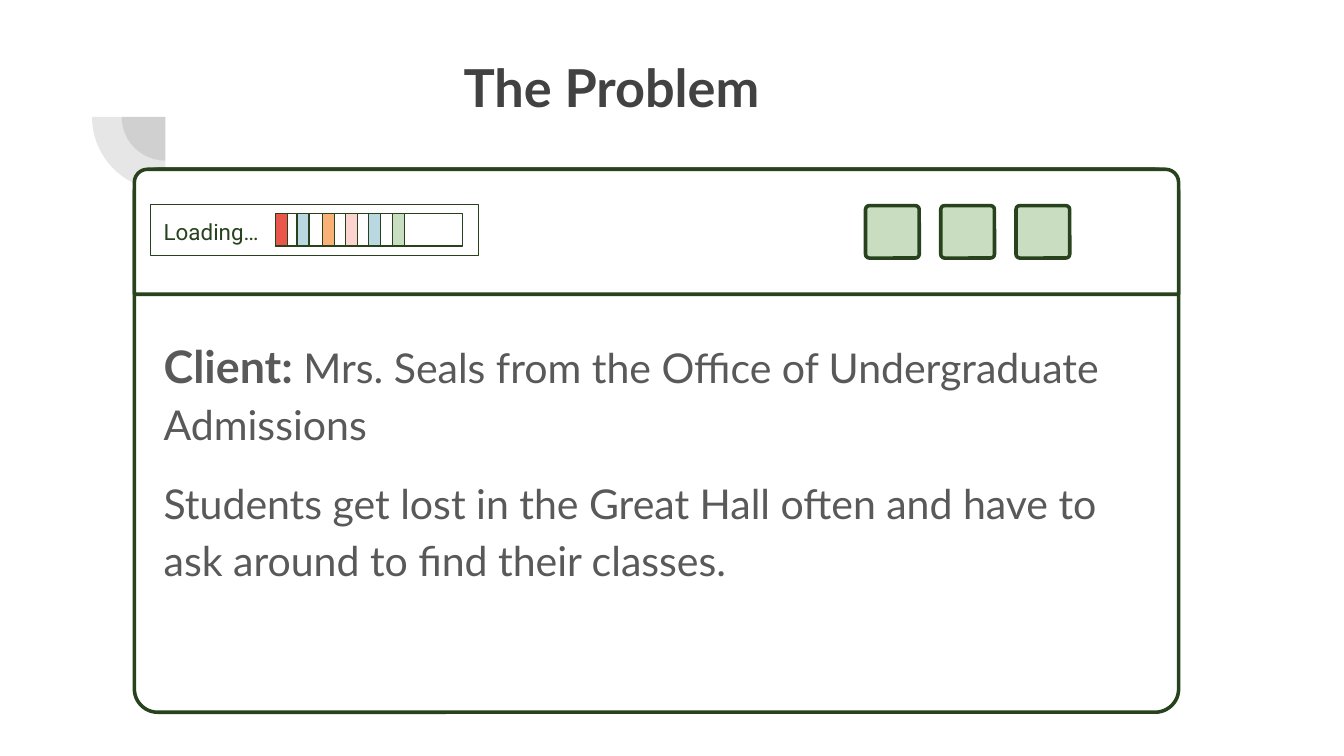
from lxml import etree
from pptx import Presentation
from pptx.dml.color import RGBColor
from pptx.enum import shapes, text
from pptx.oxml.ns import qn
from pptx.util import Inches, Pt

# Colours
GREY = RGBColor(0x42, 0x42, 0x42)
BODY_GREY = RGBColor(0x59, 0x59, 0x59)
DARK_GREEN = RGBColor(0x27, 0x42, 0x1C)
LIGHT_GREEN = RGBColor(0xC9, 0xDD, 0xC1)
WHITE = RGBColor(0xFF, 0xFF, 0xFF)
RED = RGBColor(0xEA, 0x56, 0x4C)
BLUE = RGBColor(0xBA, 0xD8, 0xE2)
ORANGE = RGBColor(0xF9, 0xB1, 0x77)
PINK = RGBColor(0xFB, 0xD4, 0xCF)

# Content
TITLE = "The Problem"
CLIENT = ("Client:", " Mrs. Seals from the Office of Undergraduate Admissions")
PROBLEM = ("Students get lost in the Great Hall often and have to "
           "ask around to find their classes.")
LOADING = "Loading…"
STRIPES = [(2.05, RED), (2.21, BLUE), (2.4, ORANGE),
           (2.57, PINK), (2.74, BLUE), (2.92, LIGHT_GREEN)]

# Geometry in inches
PIE_CENTRE = (1.23, 0.87)
PIE_SIZES = (0.65, 1.09)
WINDOW_LEFT, WINDOW_TOP, WINDOW_WIDTH = 1, 1.26, 7.77
BUTTON_LEFT, BUTTON_STEP, BUTTON_COUNT = 6.44, 0.56, 3
BAR_TOP, BAR_HEIGHT = 1.59, 0.24

SHAPE = shapes.MSO_SHAPE


def add_box(s, kind, left, top, width, height, fill, line=None, adj=()):
    sp = s.shapes.add_shape(kind, Inches(left), Inches(top), Inches(width), Inches(height))
    sp.shadow.inherit = False
    sp.fill.solid()
    sp.fill.fore_color.rgb = fill
    if line:
        sp.line.color.rgb = DARK_GREEN
        sp.line.width = Pt(line)
    else:
        sp.line.fill.background()
    for i, value in enumerate(adj):
        sp.adjustments[i] = value
    return sp


def set_frame(tf, anchor):
    tf.word_wrap = True
    tf.auto_size = text.MSO_AUTO_SIZE.NONE
    tf.vertical_anchor = anchor
    tf.margin_left = tf.margin_right = tf.margin_top = tf.margin_bottom = Inches(0.1)


def add_text(p, words, size, color, font="Lato", bold=False, spacing=1.15):
    p.alignment = text.PP_ALIGN.LEFT
    p.line_spacing = spacing
    r = p.add_run()
    r.text = words
    r.font.name = font
    r.font.size = Pt(size)
    r.font.bold = bold
    r.font.color.rgb = color


def main():
    prs = Presentation()
    prs.slide_width = Inches(10)
    prs.slide_height = prs.slide_width * 9 // 16
    s = prs.slides.add_slide(prs.slide_layouts[5])

    # Title
    title = s.shapes.title
    title.left, title.top = Inches(1.35), Inches(0.31)
    title.width, title.height = Inches(7.69), Inches(1.09)
    set_frame(title.text_frame, text.MSO_ANCHOR.TOP)
    p = title.text_frame.paragraphs[0]
    add_text(p, TITLE, 28, GREY, bold=True, spacing=1.0)
    pPr = p._p.get_or_add_pPr()
    pPr.set("marL", str(Inches(1.5)))
    pPr.set("indent", str(Inches(0.5)))

    # Corner quarter circles
    for size in PIE_SIZES:
        left, top = (c - size / 2 for c in PIE_CENTRE)
        pie = add_box(s, SHAPE.PIE, left, top, size, size, GREY, adj=(108, 162))
        pie.rotation = 270
        color = pie.fill._xPr.find(qn("a:solidFill"))[0]
        etree.SubElement(color, qn("a:alpha"), val="13000")

    # Window with title bar and buttons
    add_box(s, SHAPE.ROUNDED_RECTANGLE, WINDOW_LEFT, WINDOW_TOP, WINDOW_WIDTH, 4.04,
            WHITE, 1.89, (0.043,))
    add_box(s, SHAPE.ROUND_2_SAME_RECTANGLE, WINDOW_LEFT, WINDOW_TOP, WINDOW_WIDTH, 0.93,
            WHITE, 1.89, (0.105, 0))
    for i in range(BUTTON_COUNT):
        add_box(s, SHAPE.ROUNDED_RECTANGLE, BUTTON_LEFT + i * BUTTON_STEP, 1.53, 0.4, 0.39,
                LIGHT_GREEN, 1.89, (0.072,))

    # Body text
    body = s.shapes.add_textbox(Inches(1.12), Inches(2.36), Inches(7.26), Inches(2.06))
    tf = body.text_frame
    set_frame(tf, text.MSO_ANCHOR.TOP)
    label, client = CLIENT
    add_text(tf.paragraphs[0], label, 24, BODY_GREY, bold=True)
    add_text(tf.paragraphs[0], client, 22, BODY_GREY)
    p = tf.add_paragraph()
    add_text(p, PROBLEM, 22, BODY_GREY)
    p.space_before = p.space_after = Pt(12)

    # Loading bar
    loading = add_box(s, SHAPE.RECTANGLE, 1.12, 1.52, 2.44, 0.38, WHITE, 0.75)
    set_frame(loading.text_frame, text.MSO_ANCHOR.MIDDLE)
    add_text(loading.text_frame.paragraphs[0], LOADING, 12, DARK_GREEN, font="Roboto")
    add_box(s, SHAPE.RECTANGLE, 2.05, BAR_TOP, 1.39, BAR_HEIGHT, WHITE, 0.75)
    for left, color in STRIPES:
        add_box(s, SHAPE.RECTANGLE, left, BAR_TOP, 0.09, BAR_HEIGHT, color, 0.75)

    prs.save("out.pptx")


if __name__ == "__main__":
    main()
